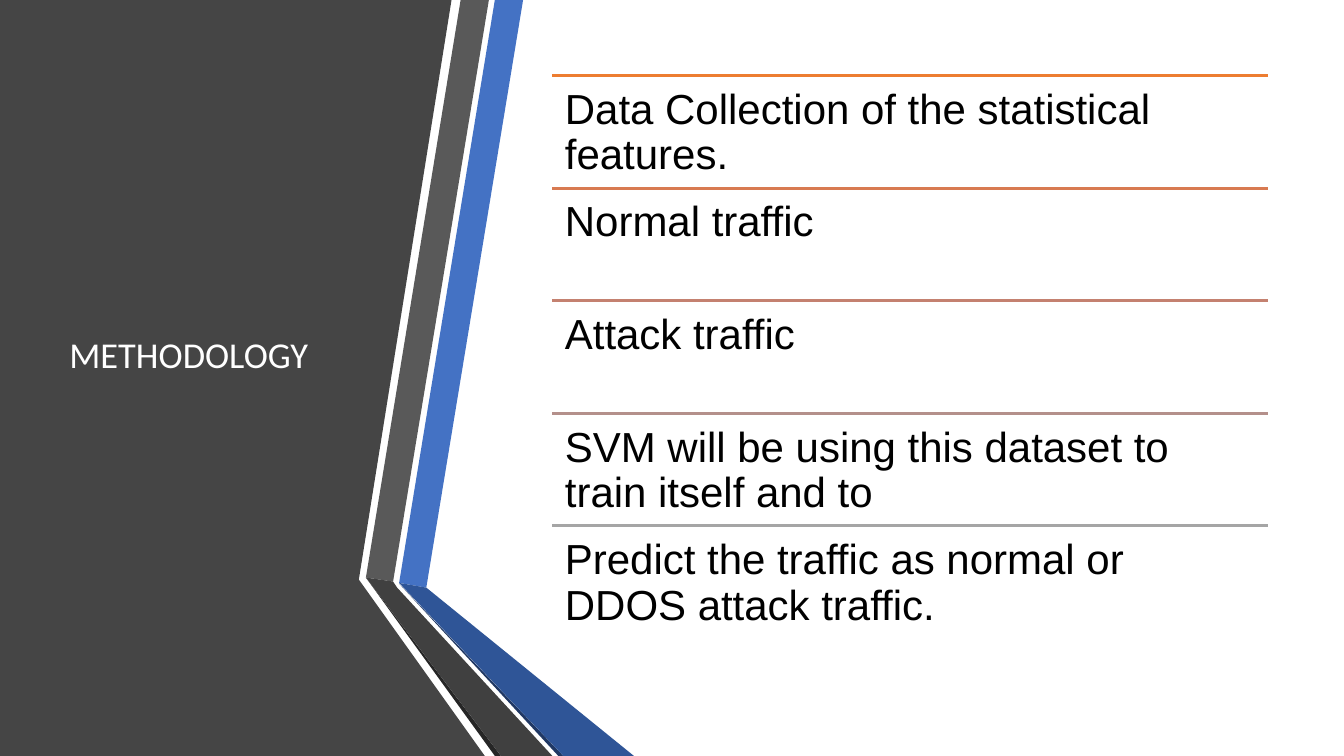
from lxml.etree import SubElement
from pptx import Presentation
from pptx.dml.color import RGBColor
from pptx.enum.shapes import MSO_CONNECTOR as Conn
from pptx.enum.text import MSO_ANCHOR as Anchor
from pptx.oxml.ns import qn
from pptx.util import Pt

SLIDE_W, SLIDE_H = 960, 540

# Corners in points, from back to front
BANDS = [
    ("454545", [(0, 0), (322.56, 0), (256.32, 414), (346.32, 540), (0, 540)]),
    ("4472C4", [(285.12, 416.4), (304.56, 419.76), (373.68, 0), (353.52, 0)]),
    ("595959", [(349.2, 0), (329.04, 0), (261.36, 412.56), (280.8, 415.44)]),
    ("262626", [(261.36, 412.56), (353.52, 540), (357.84, 540)]),
    ("203864", [(285.12, 416.88), (398.88, 540), (402.48, 540)]),
    ("2F5597", [(285.12, 416.4), (402.48, 540), (452.88, 540),
                (304.56, 419.76)]),
    ("404040", [(261.36, 412.56), (357.84, 540), (394.56, 540),
                (283.68, 419.76), (280.8, 415.44)]),
]

STEPS = [
    ("ED7D31", "Data Collection of the statistical features."),
    ("D87A51", "Normal traffic"),
    ("C48170", "Attack traffic"),
    ("B4908B", "SVM will be using this dataset to train itself and to"),
    ("A5A5A5", "Predict the traffic as normal or DDOS attack traffic."),
]


def rgb(value):
    return RGBColor.from_string(value)


def add_text(s, box, text, font, color, frame):
    tf = s.shapes.add_textbox(*map(Pt, box)).text_frame
    for name, value in {"word_wrap": True, **frame}.items():
        setattr(tf, name, value)
    p = tf.paragraphs[0]
    p.line_spacing = 0.9
    r = p.add_run()
    r.text = text
    for name, value in font.items():
        setattr(r.font, name, value)
    r.font.color.rgb = rgb(color)


def add_bands(s, left, top):
    """Dark panel and the folded ribbons beside it."""
    for color, corners in BANDS:
        points = [(Pt(left + x), Pt(top + y)) for x, y in corners]
        builder = s.shapes.build_freeform(*points[0])
        builder.add_line_segments(points[1:], close=True)
        sp = builder.convert_to_shape()
        sp.shadow.inherit = False
        sp.fill.solid()
        sp.fill.fore_color.rgb = rgb(color)
        sp.line.fill.background()


def add_title(s, left, top, width, height):
    add_text(s, (left, top, width, height), "METHODOLOGY",
             {"name": "Calibri", "size": Pt(26)}, "FFFFFF",
             {"vertical_anchor": Anchor.MIDDLE})


def add_steps(s, left, top, width, height):
    """Equal rows, each with a rule on top."""
    row_h = height / len(STEPS)
    margins = {f"margin_{side}": Pt(9)
               for side in ("left", "top", "right", "bottom")}
    for i, (color, text) in enumerate(STEPS):
        y = top + i * row_h
        rule = s.shapes.add_connector(
            Conn.STRAIGHT, Pt(left), Pt(y), Pt(left + width), Pt(y))
        rule.line.color.rgb = rgb(color)
        rule.line.width = Pt(2)
        SubElement(rule._element.spPr, qn("a:effectLst"))
        add_text(s, (left, y, width, row_h), text,
                 {"name": "Arial", "size": Pt(30)}, "000000", margins)


def main():
    prs = Presentation()
    prs.slide_width, prs.slide_height = Pt(SLIDE_W), Pt(SLIDE_H)
    s = prs.slides.add_slide(prs.slide_layouts[6])
    add_bands(s, 0, 0)
    add_title(s, 42.5, 54, 219, 402)
    add_steps(s, 394.5, 54, 511, 402)
    prs.save("out.pptx")


if __name__ == "__main__":
    main()
